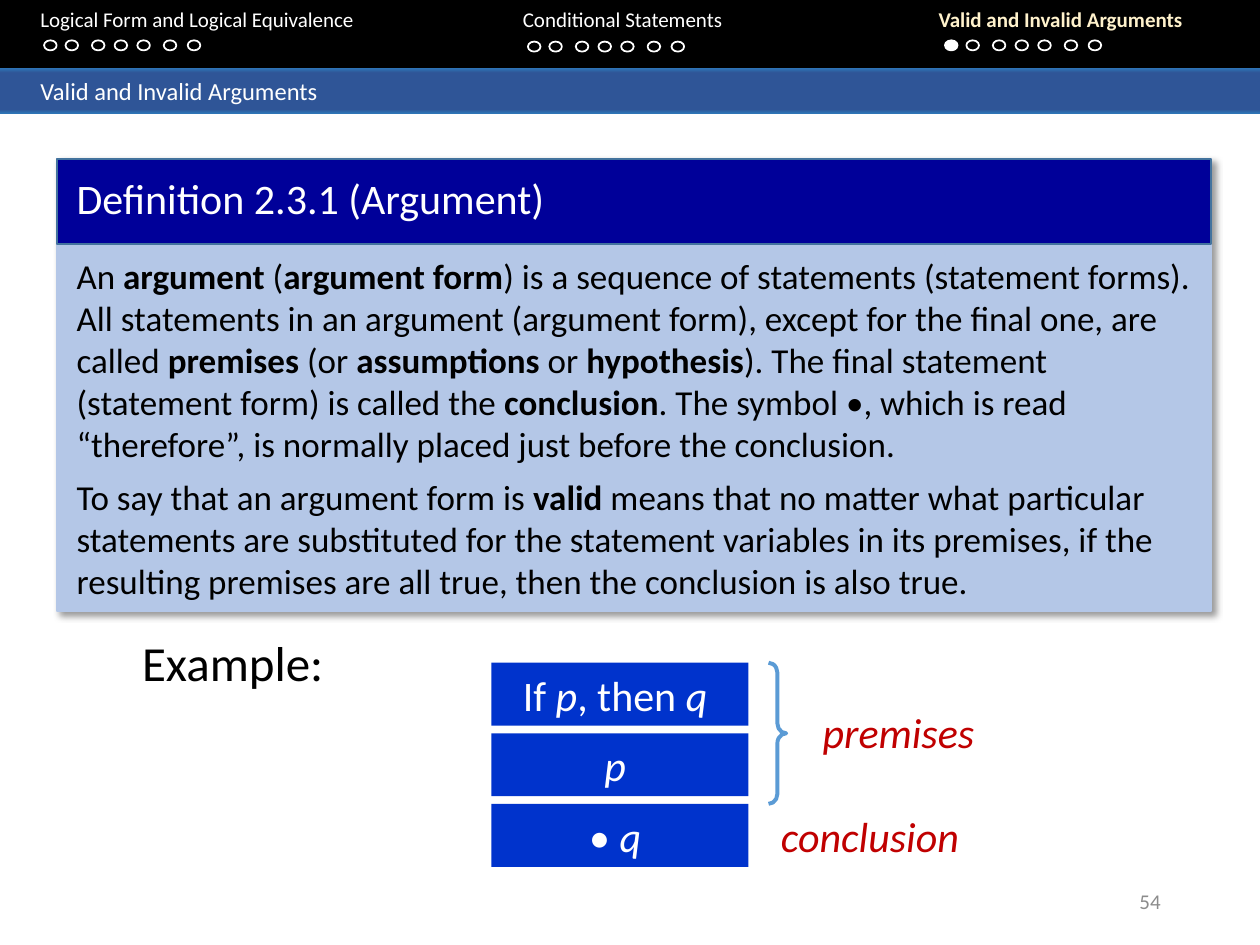
from pptx import Presentation
from pptx.dml.color import RGBColor
from pptx.enum.shapes import MSO_SHAPE as Shape
from pptx.enum.text import MSO_ANCHOR as Anchor, MSO_AUTO_SIZE as AutoSize, PP_ALIGN as Align
from pptx.oxml import parse_xml
from pptx.oxml.ns import nsdecls, qn
from pptx.util import Inches, Pt

COLUMNS, ROWS = 100, 75
CELL = Inches(0.1)
FONT = "Calibri"
COLORS = {
    "black": "000000", "white": "FFFFFF", "cream": "FFF2CC", "grey": "8C8C8C",
    "bar": "2F5597", "bar_edge": "2E75B6", "panel": "B4C7E7", "header": "000099",
    "header_edge": "43739E", "statement": "0033CC", "brace": "5B9BD5", "label": "C00000",
}
SECTIONS = ["Logical Form and Logical Equivalence", "Conditional Statements",
            "Valid and Invalid Arguments"]
DOT_OFFSETS = [0, 1.7, 3.8, 5.6, 7.4, 9.5, 11.4]
DOT_STARTS = [(3.5, 3.2), (41.9, 3.3), (75, 3.2)]
DEFINITION = [
    "An |argument| (|argument form|) is a sequence of statements (statement forms). "
    "All statements in an argument (argument form), except for the final one, are called "
    "|premises| (or |assumptions| or |hypothesis|). The final statement (statement form) "
    "is called the |conclusion|. The symbol •, which is read “therefore”, is normally "
    "placed just before the conclusion.",
    "To say that an argument form is |valid| means that no matter what particular "
    "statements are substituted for the statement variables in its premises, if the "
    "resulting premises are all true, then the conclusion is also true.",
]
STATEMENTS = ["If |p|, then |q ", "|p ", "• |q "]


def rgb(name):
    """Return the named colour."""
    return RGBColor.from_string(COLORS[name])


def cells(*lengths):
    """Turn grid cells into slide lengths."""
    return [round(length * CELL) for length in lengths]


def style(font, size, color, bold=False, italic=False):
    """Format a font."""
    font.name, font.size, font.bold, font.italic = FONT, Pt(size), bold, italic
    font.color.rgb = rgb(color)


def write(paragraph, marked, size, color, emphasis):
    """Write text whose parts between bars carry the emphasis."""
    for index, part in enumerate(marked.split("|")):
        if part:
            run = paragraph.add_run()
            run.text = part
            style(run.font, size, color, **{emphasis: index % 2 == 1})


def add_block(slide, kind, box, fill=None, line=None, weight=1):
    """Add a preset shape on the grid."""
    block = slide.shapes.add_shape(kind, *cells(*box))
    block.shadow.inherit = False
    if fill:
        block.fill.solid()
        block.fill.fore_color.rgb = rgb(fill)
    else:
        block.fill.background()
    if line:
        block.line.color.rgb = rgb(line)
        block.line.width = Pt(weight)
    else:
        block.line.fill.background()
    return block


def add_text(slide, box, text, size, color, align=Align.LEFT, italic=False):
    """Add a text box on the grid and return its frame."""
    frame = slide.shapes.add_textbox(*cells(*box)).text_frame
    frame.word_wrap = True
    frame.text = text
    for paragraph in frame.paragraphs:
        paragraph.alignment = align
        for run in paragraph.runs:
            style(run.font, size, color, italic=italic)
    return frame


def add_navigation(slide):
    """Add the section names with their progress dots."""
    add_block(slide, Shape.RECTANGLE, (0, -0.2, COLUMNS, 5.6), "black")
    frame = add_text(slide, (0, 0, COLUMNS, 5), "", 12, "white")
    frame.margin_left = cells(3.2)[0]
    names = frame.paragraphs[0]
    stops = "".join(f'<a:tab pos="{stop}" algn="l"/>' for stop in cells(38.3, 71.3))
    names._p.get_or_add_pPr().append(
        parse_xml(f'<a:tabLst {nsdecls("a")}>{stops}</a:tabLst>'))
    for index, section in enumerate(SECTIONS):
        current = section == SECTIONS[-1]
        run = names.add_run()
        run.text = ("\t" if index else "") + section
        style(run.font, 12, "cream" if current else "white", bold=current)
    for start, top in DOT_STARTS:
        for offset in DOT_OFFSETS:
            current = (start, top) == DOT_STARTS[-1] and not offset
            add_block(slide, Shape.OVAL, (start + offset, top, 1, 0.8),
                      "white" if current else None, "white")


def format_title(title):
    """Turn the title into the bar below the navigation."""
    title.left, title.top, title.width, title.height = cells(0, 5.4, COLUMNS, 3.6)
    title.fill.gradient()
    title.fill.gradient_angle = 270
    stops = "".join(
        f'<a:gs pos="{share * 1000}"><a:srgbClr val="{COLORS[name]}"/></a:gs>'
        for share, name in [(0, "bar_edge"), (11, "bar"), (91, "bar"), (100, "bar_edge")])
    gradient = title._element.spPr.find(qn("a:gradFill"))
    gradient.replace(gradient.find(qn("a:gsLst")),
                     parse_xml(f'<a:gsLst {nsdecls("a")}>{stops}</a:gsLst>'))
    frame = title.text_frame
    frame.text = SECTIONS[-1]
    frame.auto_size = AutoSize.NONE
    frame.vertical_anchor = Anchor.MIDDLE
    frame.margin_left = cells(3.2)[0]
    frame.paragraphs[0].alignment = Align.LEFT
    style(frame.paragraphs[0].runs[0].font, 14, "white")


def add_shadow(block):
    """Give a shape a soft shadow to the lower right."""
    effects = block._element.spPr.find(qn("a:effectLst"))
    effects.append(parse_xml(
        f'<a:outerShdw {nsdecls("a")} blurRad="{Pt(4)}" dist="{Pt(3)}" dir="2700000" '
        f'algn="tl" rotWithShape="0"><a:srgbClr val="{COLORS["black"]}">'
        '<a:alpha val="40000"/></a:srgbClr></a:outerShdw>'))


def add_definition(slide):
    """Add the definition panel with its header."""
    add_shadow(add_block(slide, Shape.RECTANGLE, (4.5, 12.6, 91.6, 35.9), "panel", "panel"))
    add_block(slide, Shape.RECTANGLE, (4.5, 12.6, 91.6, 6.8), "header", "header_edge")
    add_text(slide, (5.1, 13.2, 89.6, 5), "Definition 2.3.1 (Argument)", 24, "white")
    frame = add_text(slide, (5.1, 19.7, 91, 28.8), "", 20, "black")
    for index, marked in enumerate(DEFINITION):
        paragraph = frame.add_paragraph() if index else frame.paragraphs[0]
        paragraph.space_after = Pt(6)
        write(paragraph, marked, 20, "black", "bold")


def add_example(slide):
    """Add the stacked statements with their labels."""
    add_text(slide, (10.3, 49.7, 19.3, 5.7), "Example:", 28, "black")
    for index, marked in enumerate(STATEMENTS):
        box = (39, 52.6 + 5.6 * index, 20.4, 5)
        paragraph = add_block(slide, Shape.RECTANGLE, box, "statement").text_frame.paragraphs[0]
        paragraph.alignment = Align.CENTER
        write(paragraph, marked, 24, "white", "italic")
    brace = add_block(slide, Shape.RIGHT_BRACE, (61, 52.6, 1.4, 11.2), None, "brace", 2.25)
    brace.adjustments[0], brace.adjustments[1] = 0.56, 0.5
    add_text(slide, (64.3, 55.6, 14.9, 5), "premises", 24, "label", italic=True)
    add_text(slide, (61, 63.8, 17.6, 5), "conclusion", 24, "label", italic=True)


def main():
    """Build the slide and save it."""
    deck = Presentation()
    deck.slide_width, deck.slide_height = cells(COLUMNS, ROWS)
    slide = deck.slides.add_slide(deck.slide_layouts[5])
    add_navigation(slide)
    format_title(slide.shapes.title)
    add_definition(slide)
    add_example(slide)
    number = add_text(slide, (70.6, 69.5, 22.5, 4), "54", 12, "grey", Align.RIGHT)
    number.vertical_anchor = Anchor.MIDDLE
    deck.save("out.pptx")


if __name__ == "__main__":
    main()
